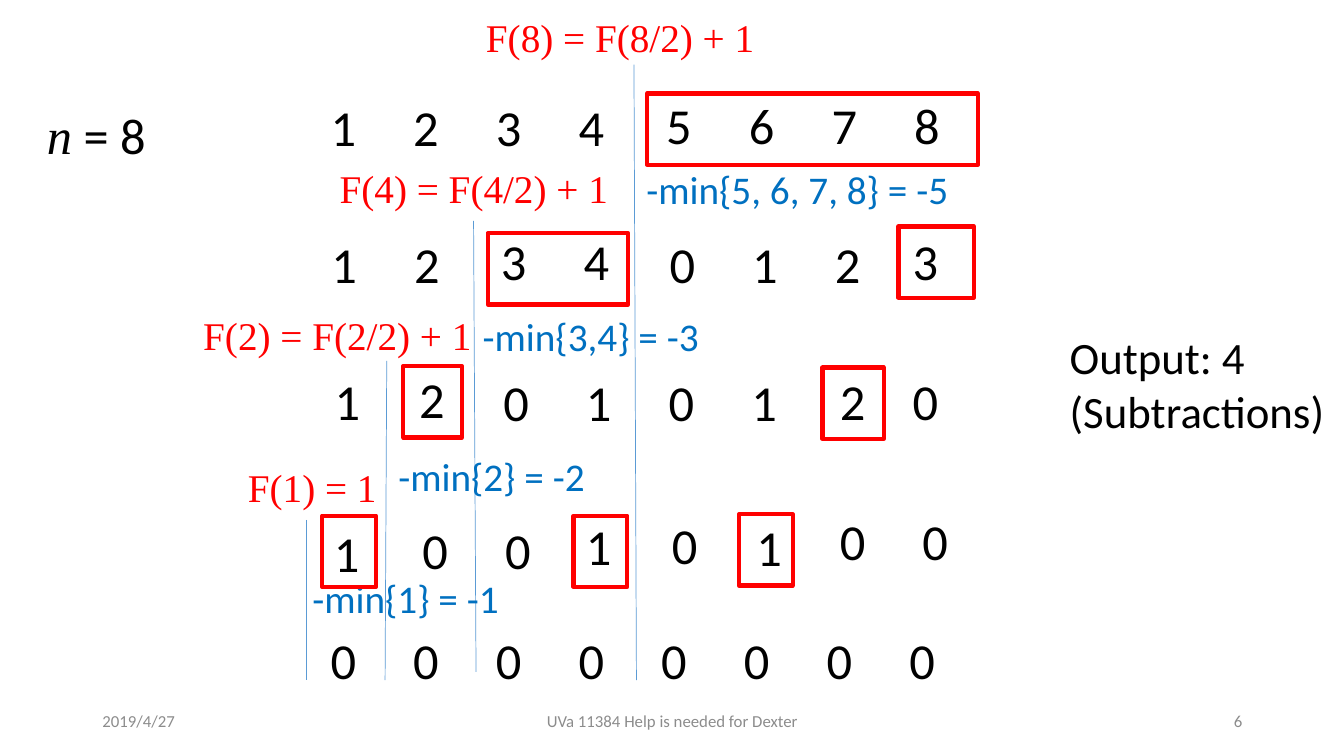
"""Build the slide that traces the F(8) subtraction steps from 1..8 down to zeros."""
import pptx
import pptx.chart.data
import pptx.dml.color
import pptx.enum.shapes
import pptx.enum.text
import pptx.oxml
import pptx.oxml.ns
import pptx.util

COLORS = {"digit": "000000", "call": "FF0000", "step": "0070C0",
          "divider": "5B9BD5", "footer": "8C8C8C"}
SANS, SERIF = "Calibri", "Times New Roman"
ORIGIN_X, ORIGIN_Y = 3.18, 0.9
COLUMN, ROW = 0.82, 1.36
DIGIT_HEIGHT, LABEL_HEIGHT, FOOTER_HEIGHT = 0.52, 0.42, 0.29
ALIGN = pptx.enum.text.PP_ALIGN

deck = pptx.Presentation()
deck.slide_width = pptx.util.Inches(13.33)
deck.slide_height = pptx.util.Inches(7.5)
slide = deck.slides.add_slide(deck.slide_layouts[6])


def grid(column, row, columns=None, rows=None):
    """Turn a grid position, and a grid size if given, into lengths."""
    lengths = [ORIGIN_X + column * COLUMN, ORIGIN_Y + row * ROW]
    if columns is not None:
        lengths += [columns * COLUMN, rows * ROW]
    return [pptx.util.Inches(length) for length in lengths]


def write(area, runs, size, color, align=ALIGN.LEFT, tabs=0, footer=False):
    """Write runs of (text, font name, italic) in a text box on the grid."""
    frame = slide.shapes.add_textbox(*grid(*area)).text_frame
    frame.word_wrap = True
    if footer:
        frame.vertical_anchor = pptx.enum.text.MSO_ANCHOR.MIDDLE
    else:
        frame.auto_size = pptx.enum.text.MSO_AUTO_SIZE.SHAPE_TO_FIT_TEXT
    paragraph = frame.paragraphs[0]
    paragraph.alignment = align
    if tabs:
        stops = pptx.oxml.ns.qn("a:tabLst")
        tab_list = paragraph._p.get_or_add_pPr().makeelement(stops, {})
        paragraph._p.get_or_add_pPr().append(tab_list)
        for stop in range(1, tabs + 1):
            position = str(pptx.util.Inches(stop * COLUMN))
            tab_list.append(tab_list.makeelement(
                pptx.oxml.ns.qn("a:tab"), {"pos": position, "algn": "l"}))
    for text, font_name, italic in runs:
        run = paragraph.add_run()
        run.text = text
        font_format = {"name": font_name, "size": pptx.util.Pt(size), "italic": italic}
        for attribute, value in font_format.items():
            setattr(run.font, attribute, value)
        run.font.color.rgb = pptx.dml.color.RGBColor.from_string(COLORS[color])


footers = [
    (-2.76, 3.66, "2019/4/27", ALIGN.LEFT),
    (1.51, 5.49, "UVa 11384 Help is needed for Dexter", ALIGN.CENTER),
    (7.61, 3.66, "6", ALIGN.RIGHT),
]
for column, columns, text, align in footers:
    write((column, 4.45, columns, FOOTER_HEIGHT), [(text, SANS, False)],
          12, "footer", align, footer=True)

dividers = [
    (3.79, -0.19, 3.82, 4.3),
    (1.85, 0.95, 1.88, 4.24),
    (0.8, 1.97, 0.78, 4.3),
    (-0.17, 3.13, -0.17, 4.3),
]
for start_column, start_row, end_column, end_row in dividers:
    divider = slide.shapes.add_connector(
        pptx.enum.shapes.MSO_CONNECTOR.STRAIGHT,
        *grid(start_column, start_row), *grid(end_column, end_row))
    divider.line.color.rgb = pptx.dml.color.RGBColor.from_string(COLORS["divider"])
    divider.line.width = pptx.util.Pt(0.5)
    properties = divider._element.spPr
    properties.append(properties.makeelement(pptx.oxml.ns.qn("a:effectLst"), {}))

labels = [
    (3.82, 0.51, 4.07, "-min{5, 6, 7, 8} = -5", SANS, "step"),
    (1.84, 1.58, 3.3, "-min{3,4} = -3", SANS, "step"),
    (0.82, 2.6, 2.87, "-min{2} = -2", SANS, "step"),
    (-0.22, 3.49, 2.96, "-min{1} = -1", SANS, "step"),
    (1.88, -0.6, 4.01, "F(8) = F(8/2) + 1", SERIF, "call"),
    (0.11, 0.5, 3.59, "F(4) = F(4/2) + 1", SERIF, "call"),
    (-1.54, 1.57, 4.28, "F(2) = F(2/2) + 1", SERIF, "call"),
    (-1, 2.68, 2.11, "F(1) = 1", SERIF, "call"),
]
for column, row, columns, text, font_name, color in labels:
    write((column, row, columns, LABEL_HEIGHT), [(text, font_name, False)], 28, color)

digit_groups = [
    (0, 0, 3.93, "1234"), (4.06, -0.01, 3.87, "5678"),
    (0.01, 1, 1.98, "12"), (2.06, 0.98, 1.6, "34"),
    (4.1, 1, 2.84, "012"), (7.04, 0.98, 0.89, "3"),
    (0.05, 2, 0.67, "1"), (1.07, 1.99, 0.71, "2"), (2.09, 2.01, 3.6, "0101"),
    (6.16, 2, 0.77, "2"), (7.04, 2, 0.66, "0"),
    (0.04, 3.11, 0.7, "1"), (1.11, 3.09, 1.65, "00"), (3.09, 3.06, 0.6, "1"),
    (4.13, 3.05, 0.82, "0"), (5.15, 3.07, 0.71, "1"), (6.16, 3.02, 1.6, "00"),
    (0, 3.89, 8.18, "00000000"),
]
for column, row, columns, digits in digit_groups:
    write((column, row, columns, DIGIT_HEIGHT), [("\t".join(digits), SANS, False)],
          36, "digit", tabs=len(digits) - 1)

highlights = [
    (3.95, 0.02, 4), (6.99, 0.99, 0.91), (2.02, 1.04, 1.7), (6.07, 2.02, 0.74),
    (1, 2.01, 0.71), (5.06, 3.09, 0.65), (3.06, 3.1, 0.65), (0.02, 3.1, 0.65),
]
for column, row, columns in highlights:
    highlight = slide.shapes.add_shape(
        pptx.enum.shapes.MSO_SHAPE.RECTANGLE, *grid(column, row, columns, DIGIT_HEIGHT))
    highlight.shadow.inherit = False
    highlight.fill.background()
    highlight.line.color.rgb = pptx.dml.color.RGBColor.from_string(COLORS["call"])
    highlight.line.width = pptx.util.Pt(3)

write((8.94, 1.71, 3.4, 0.87), [("Output: 4 (Subtractions)", SANS, False)], 32, "digit")
write((-3.43, 0.06, 1.52, DIGIT_HEIGHT),
      [("n", SERIF, True), (" = 8", SANS, False)], 36, "digit")

deck.save("out.pptx")
